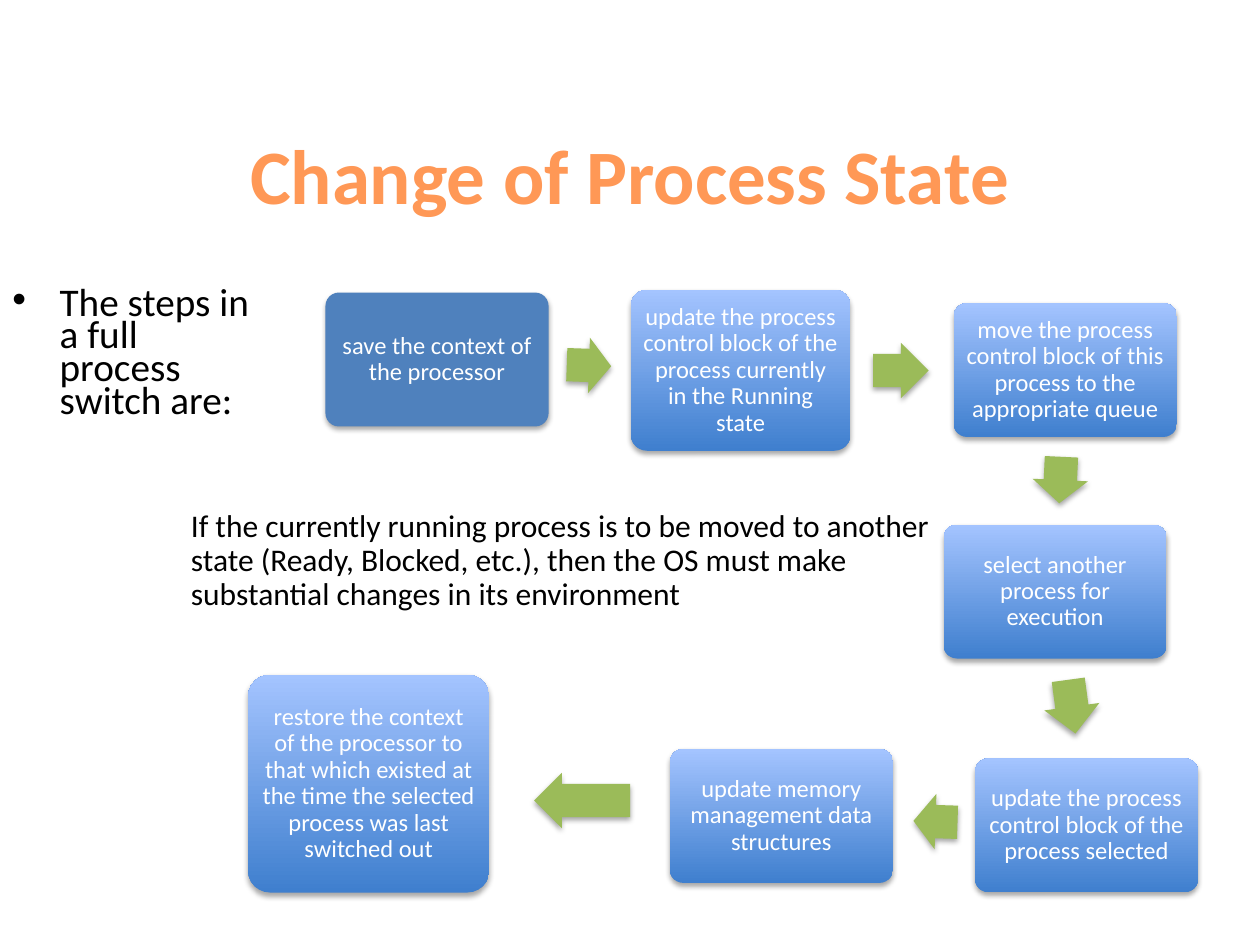
from lxml import etree
from pptx import Presentation
from pptx.dml.color import RGBColor
from pptx.enum.shapes import MSO_SHAPE as SHAPE
from pptx.enum.text import MSO_ANCHOR as ANCHOR, PP_ALIGN as ALIGN
from pptx.oxml import parse_xml
from pptx.oxml.ns import qn
from pptx.util import Pt

COLORS = {
    "title": "FF9856", "body": "000000", "step_text": "FFFFFF",
    "first": "4F81BD", "low": "3F7FCE", "high": "A4C4FF", "arrow": "9BBB59",
}
RGB = {name: RGBColor.from_string(value) for name, value in COLORS.items()}
NS = "http://schemas.openxmlformats.org/drawingml/2006/main"
SHADOW = (
    f'<a:outerShdw xmlns:a="{NS}" blurRad="{Pt(3.1)}" dist="{Pt(1.8)}" '
    'dir="5400000" rotWithShape="0"><a:srgbClr val="000000">'
    '<a:alpha val="35000"/></a:srgbClr></a:outerShdw>'
)


def write(sp, text, size, color, spacing=1.0, before=0, align=ALIGN.LEFT):
    tf = sp.text_frame
    tf.word_wrap = True
    p = tf.paragraphs[0]
    p.alignment = align
    p.line_spacing = spacing
    p.space_before = Pt(before)
    r = p.add_run()
    r.text = text
    r.font.name = "Calibri"
    r.font.size = Pt(size)
    r.font.color.rgb = RGB[color]
    return tf, p, r


def add_raised(kind, left, top, width, height):
    sp = s.shapes.add_shape(kind, Pt(left), Pt(top), Pt(width), Pt(height))
    sp.line.fill.background()
    sp.shadow.inherit = False
    sp._element.spPr.find(qn("a:effectLst")).append(parse_xml(SHADOW))
    return sp


prs = Presentation()
prs.slide_width, prs.slide_height = Pt(720), Pt(540)
s = prs.slides.add_slide(prs.slide_layouts[6])

title = s.shapes.add_textbox(Pt(51.84), Pt(36), Pt(616.32), Pt(126))
tf, p, r = write(title, "Change of Process State", 44, "title", align=ALIGN.CENTER)
tf.vertical_anchor = ANCHOR.MIDDLE
r.font.bold = True

intro = s.shapes.add_textbox(Pt(0), Pt(162), Pt(150), Pt(84))
tf, p, r = write(intro, "The steps in a full process switch are:", 22.4, "body", 0.7, 12)
pPr = p._p.get_or_add_pPr()
pPr.set("marL", str(Pt(27)))
pPr.set("indent", str(Pt(-27)))
etree.SubElement(pPr, qn("a:buFont"), typeface="Arial")
etree.SubElement(pPr, qn("a:buChar"), char="•")

W, H = 127.5, 76.5
steps = [
    ("save the context of the processor", 186, 167.2, W, H),
    ("update the process control block of the process currently in the Running state",
     360.5, 165.6, 125.5, 92),
    ("move the process control block of this process to the appropriate queue",
     545, 173.2, W, H),
    ("select another process for execution", 539.2, 299.8, W, H),
    ("update the process control block of the process selected", 557.2, 433.4, W, H),
    ("update memory management data structures", 382.8, 428, W, H),
    ("restore the context of the processor to that which existed at the time "
     "the selected process was last switched out", 141.8, 385.6, 137.8, 124.4),
]
for number, (text, *box) in enumerate(steps):
    sp = add_raised(SHAPE.ROUNDED_RECTANGLE, *box)
    sp.adjustments[0] = 0.1
    if number == 0:
        sp.fill.solid()
        sp.fill.fore_color.rgb = RGB["first"]
    else:
        sp.fill.gradient()
        sp.fill.gradient_angle = 90
        for stop, color in zip(sp.fill.gradient_stops, ("low", "high")):
            stop.color.rgb = RGB[color]
    tf, p, r = write(sp, text, 14, "step_text", 0.9, align=ALIGN.CENTER)
    tf.vertical_anchor = ANCHOR.MIDDLE
    tf.margin_left = tf.margin_right = tf.margin_top = tf.margin_bottom = Pt(4.2)

arrows = [
    (323.9, 193, 25.4, 2),
    (499, 195.9, 31.7, 0),
    (592.6, 258.5, 26.6, 92.7),
    (597, 388, 31, 82.3),
    (522, 453.6, 25.2, 181.8),
    (305.2, 441.6, 54.8, 180),
]
for left, top, width, rotation in arrows:
    sp = add_raised(SHAPE.RIGHT_ARROW, left, top, width, 31.7)
    sp.adjustments[0], sp.adjustments[1] = 0.6, 0.5
    sp.rotation = rotation
    sp.fill.solid()
    sp.fill.fore_color.rgb = RGB["arrow"]

note = s.shapes.add_textbox(Pt(102), Pt(288), Pt(444), Pt(66))
write(note, "If the currently running process is to be moved to another state "
      "(Ready, Blocked, etc.), then the OS must make substantial changes in its "
      "environment", 18, "body", 0.9, 12)

prs.save("out.pptx")
